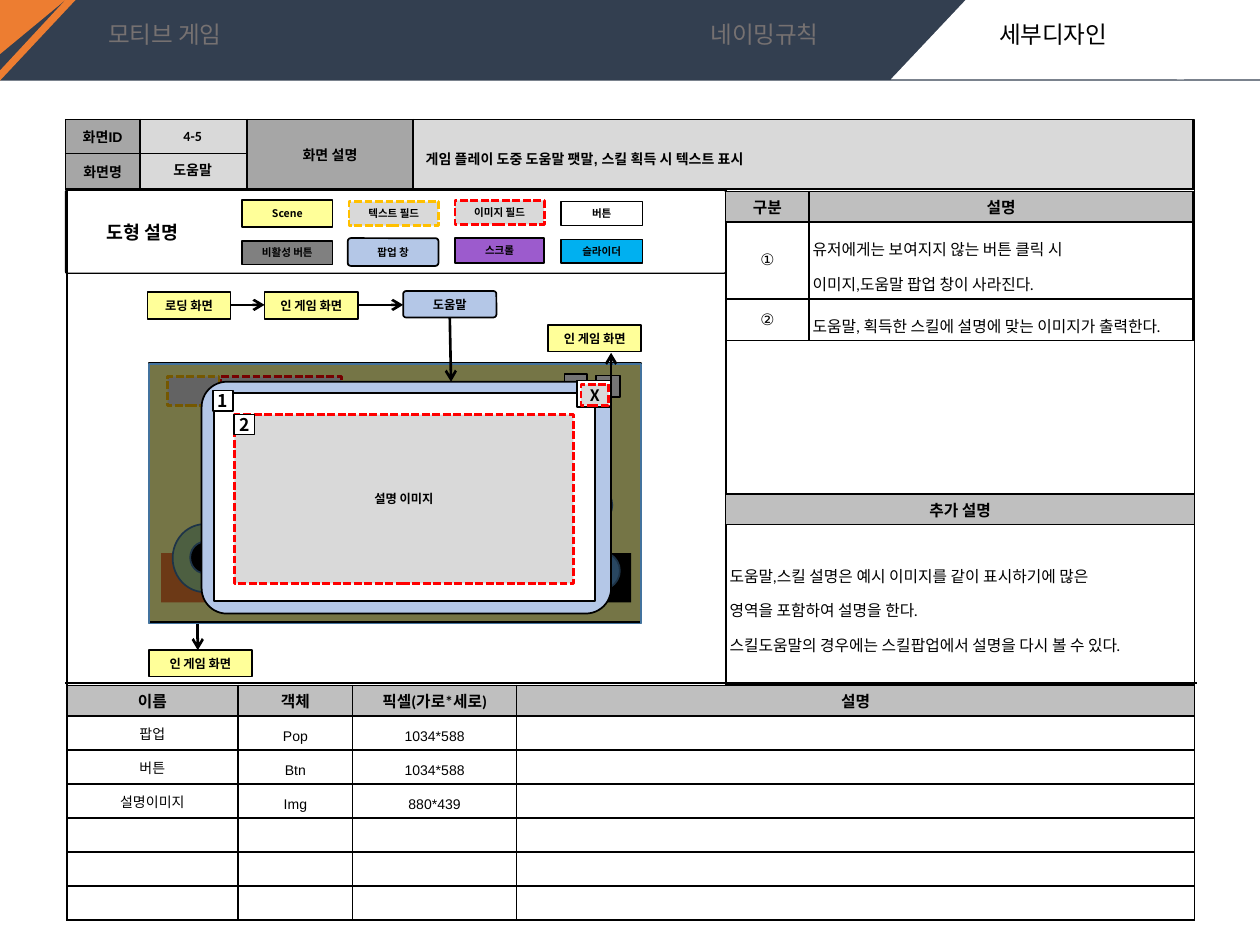
from lxml.etree import SubElement
from pptx import Presentation
from pptx.dml.color import RGBColor
from pptx.enum.dml import MSO_LINE
from pptx.enum.shapes import MSO_CONNECTOR, MSO_SHAPE
from pptx.enum.text import MSO_ANCHOR, PP_ALIGN
from pptx.oxml.ns import qn
from pptx.util import Inches, Pt

THEME = {
    "black": RGBColor(0, 0, 0), "white": RGBColor(255, 255, 255),
    "navy": RGBColor(0x33, 0x3F, 0x50), "orange": RGBColor(0xED, 0x7D, 0x31),
    "muted": RGBColor(0x76, 0x71, 0x71), "yellow": RGBColor(0xFF, 0xFF, 0x99),
    "sky": RGBColor(0xB4, 0xC7, 0xE7), "pale": RGBColor(0xD9, 0xD9, 0xD9),
    "head": RGBColor(0xBF, 0xBF, 0xBF), "label": RGBColor(0xA6, 0xA6, 0xA6),
    "grey": RGBColor(0x80, 0x80, 0x80), "amber": RGBColor(0xFF, 0xC0, 0),
    "red": RGBColor(0xFF, 0, 0), "purple": RGBColor(0x9C, 0x5B, 0xCD),
    "cyan": RGBColor(0, 0xB0, 0xF0), "green": RGBColor(0xA9, 0xD1, 0x8E),
    "blue": RGBColor(0x5B, 0x9B, 0xD5), "steel": RGBColor(0x43, 0x73, 0x9E),
    "tab": 13.5, "legend_title": 10.5, "mark": 10, "heading": 9,
    "body": 8, "flow": 7, "key": 6,
    "latin": "Arial", "text": "Calibri", "shape": "Noto Sans CJK KR",
}
RECT, ROUND, OVAL = MSO_SHAPE.RECTANGLE, MSO_SHAPE.ROUNDED_RECTANGLE, MSO_SHAPE.OVAL
# Look of a shape: preset, fill, line colour, line width
LOOKS = {
    "scene": (RECT, "yellow", "black", 1), "button": (RECT, "white", "black", 1),
    "popup": (ROUND, "sky", "black", 1), "disabled": (RECT, "grey", "black", 1),
    "scroll": (RECT, "purple", "black", 1), "slider": (RECT, "cyan", "black", 1),
    "text field": (RECT, "pale", "amber", 1.5), "image field": (RECT, "pale", "red", 1.5),
    "frame": (RECT, None, "black", 1), "legend frame": (ROUND, None, "black", 0.75),
    "bar": (RECT, "navy", None, 0), "blank": (RECT, "white", None, 0),
    "slant": (MSO_SHAPE.PARALLELOGRAM, "white", None, 0),
    "road": (RECT, "black", None, 0), "ground": (RECT, "orange", None, 0),
    "wheel": (OVAL, "green", "steel", 1), "hub": (OVAL, "black", "steel", 1),
    "ball": (OVAL, "blue", "steel", 1), "veil": (RECT, "black", "steel", 1),
    "turn": (MSO_SHAPE.CURVED_LEFT_ARROW, "black", "black", 1),
}
# Look of a cell: fill, font, size, bold, alignment, line spacing
CENTER, LEFT = PP_ALIGN.CENTER, PP_ALIGN.LEFT
CELLS = {
    "label": ("label", "latin", "body", True, CENTER, 1),
    "value": ("pale", "latin", "body", True, CENTER, 1),
    "head": ("head", "text", "heading", True, CENTER, 1),
    "number": (None, "latin", "heading", False, CENTER, 1),
    "prose": (None, "text", "heading", False, LEFT, 1.5),
    "name": ("white", "latin", "body", False, CENTER, 1),
    "code": ("white", "latin", "body", False, CENTER, 1.5),
}

deck = Presentation()
deck.slide_width, deck.slide_height = Inches(10), Inches(7.5)
page = deck.slides.add_slide(deck.slide_layouts[5])
# The page is a grid of 100 columns and 75 rows
COLUMN, ROW = deck.slide_width / 100, deck.slide_height / 75


def draw(look, left, top, width, height, text="", size="key", radius=None):
    preset, fill, line, weight = LOOKS[look]
    shape = page.shapes.add_shape(preset, int(left * COLUMN), int(top * ROW),
                                  int(width * COLUMN), int(height * ROW))
    shape.shadow.inherit = False
    if radius is not None:
        shape.adjustments[0] = radius
    if fill:
        shape.fill.solid()
        shape.fill.fore_color.rgb = THEME[fill]
    else:
        shape.fill.background()
    if line:
        shape.line.color.rgb = THEME[line]
        shape.line.width = Pt(weight)
        if look.endswith("field"):
            shape.line.dash_style = MSO_LINE.SQUARE_DOT
    else:
        shape.line.fill.background()
    if text:
        frame = shape.text_frame
        frame.margin_left = frame.margin_right = frame.margin_top = frame.margin_bottom = 0
        frame.vertical_anchor = MSO_ANCHOR.MIDDLE
        para = frame.paragraphs[0]
        para.text, para.alignment = text, CENTER
        para.font.name, para.font.size, para.font.bold = THEME["shape"], Pt(THEME[size]), True
        para.font.color.rgb = THEME["black"]
    return shape


def tabulate(left, top, columns, rows, cells):
    table = page.shapes.add_table(len(rows), len(columns), int(left * COLUMN), int(top * ROW),
                                  int(sum(columns) * COLUMN), int(sum(rows) * ROW)).table
    table.first_row = table.horz_banding = False
    for column, width in zip(table.columns, columns):
        column.width = int(width * COLUMN)
    for row, height, contents in zip(table.rows, rows, cells):
        row.height = int(height * ROW)
        for cell, (look, text) in zip(row.cells, contents):
            fill, font, size, bold, alignment, spacing = CELLS[look]
            cell.margin_left = cell.margin_right = Inches(0.03)
            cell.margin_top = cell.margin_bottom = Inches(0.03)
            cell.vertical_anchor = MSO_ANCHOR.MIDDLE
            for side in ("a:lnL", "a:lnR", "a:lnT", "a:lnB"):
                border = SubElement(cell._tc.get_or_add_tcPr(), qn(side), w=str(Pt(1)))
                SubElement(SubElement(border, qn("a:solidFill")), qn("a:srgbClr"),
                           val=str(THEME["black"]))
            if fill:
                cell.fill.solid()
                cell.fill.fore_color.rgb = THEME[fill]
            else:
                cell.fill.background()
            cell.text_frame.text = text
            para = cell.text_frame.paragraphs[0]
            para.alignment, para.line_spacing = alignment, spacing
            para.font.name, para.font.size, para.font.bold = THEME[font], Pt(THEME[size]), bold
            para.font.color.rgb = THEME["black"]
    return table


# Header band with its folded corner
draw("frame", 5.3, 9.5, 89.5, 63.2)
draw("bar", 0, 0, 100, 6.4)
draw("slant", 70.7, -0.1, 29.3, 6.4, radius=0.943)
for corner in ([(5.2, 0), (6, 0), (0, 6.4), (0, 5.6)], [(0, 0), (5.2, 0), (0, 4.3)]):
    points = [(x * COLUMN, y * ROW) for x, y in corner]
    outline = page.shapes.build_freeform(*points[0])
    outline.add_line_segments(points[1:], close=True)
    fold = outline.convert_to_shape()
    fold.shadow.inherit = False
    fold.fill.solid()
    fold.fill.fore_color.rgb = THEME["orange"]
    fold.line.fill.background()
draw("blank", 93.4, -0.1, 6.6, 6.4)

# Screen identity
identity = tabulate(5.2, 9.5, (5.9, 8.5, 13.2, 61.9), (2.7, 2.8), [
    [("label", "화면ID"), ("value", ""), ("label", "화면 설명"), ("value", "")],
    [("label", "화면명"), ("value", ""), ("label", ""), ("value", "")]])
for column in (2, 3):
    identity.cell(0, column).merge(identity.cell(1, column))

# Legend of shapes
draw("legend frame", 5.2, 15.1, 52.4, 6.6, radius=0.021)
for look, left, top, width, height, text in (
        ("scene", 19.2, 15.9, 7.2, 2.1, "Scene"),
        ("text field", 27.7, 16, 7.1, 1.9, "텍스트 필드"),
        ("image field", 36.1, 15.9, 7.1, 1.9, "이미지 필드"),
        ("button", 44.5, 16, 6.5, 1.9, "버튼"),
        ("disabled", 19.2, 19.1, 7.2, 1.9, "비활성 버튼"),
        ("popup", 27.6, 18.9, 7.2, 2.2, "팝업 창"),
        ("scroll", 36.1, 18.9, 7.1, 2, "스크롤"),
        ("slider", 44.5, 19, 6.5, 1.9, "슬라이더")):
    draw(look, left, top, width, height, text, radius=0.109 if look == "popup" else None)

# Game screen, dimmed by a veil
for look, *place in (
        ("scene", 11.8, 28.8, 39.1, 20.6), ("road", 23.4, 43.9, 26.7, 3.9),
        ("ground", 12.8, 43.9, 10.6, 3.9), ("wheel", 13.7, 41.6, 5.1, 5.4),
        ("button", 44.8, 29.7, 1.8, 1.7), ("button", 47.3, 29.8, 1.9, 1.7),
        ("hub", 15.1, 43, 2.3, 2.5), ("image field", 17.5, 29.9, 9.6, 1),
        ("text field", 13.3, 29.9, 4.1, 2.3), ("ball", 45.6, 38.6, 3, 3),
        ("ball", 46.2, 43.8, 3, 3), ("turn", 47.8, 44.6, 0.7, 1.5)):
    draw(look, *place)
veil = draw("veil", 11.8, 28.9, 39.1, 20.6)
SubElement(veil.fill._xPr.find(qn("a:solidFill"))[0], qn("a:alpha"), val="54000")

# Dividers and flow arrows
for x1, y1, x2, y2, arrow in (
        (57.6, 15.1, 57.6, 54.2, False), (5.2, 54.2, 95, 54.2, False),
        (18.3, 24.2, 21, 24.2, True), (28.4, 24.2, 32, 24.2, True),
        (35.7, 25.2, 35.8, 30.3, True), (48.5, 31.3, 48.5, 28, True),
        (15.7, 49.5, 15.7, 51.6, True)):
    line = page.shapes.add_connector(MSO_CONNECTOR.STRAIGHT, int(x1 * COLUMN), int(y1 * ROW),
                                     int(x2 * COLUMN), int(y2 * ROW))
    line.line.color.rgb = THEME["black"]
    line.line.width = Pt(1.5 if arrow else 1)
    if arrow:
        SubElement(line.line._get_or_add_ln(), qn("a:tailEnd"), type="arrow")
    SubElement(line._element.spPr, qn("a:effectLst"))

# Flow steps
draw("scene", 11.7, 23.2, 6.6, 2.1, "로딩 화면", "flow")
draw("popup", 32, 23.1, 7.4, 2.1, "도움말", "flow", 0.109)
for left, top, width in ((21, 23.2, 7.4), (43.5, 25.8, 7.4), (11.8, 51.6, 8.2)):
    draw("scene", left, top, width, 2.1, "인 게임 화면", "flow")

# Help popup
draw("popup", 16, 30.3, 32.5, 18.4, radius=0.109)
draw("button", 17, 31.2, 30.2, 16.5)
draw("image field", 18.6, 32.9, 26.9, 13.4, "설명 이미지", "flow")
draw("button", 45.8, 30.2, 2.7, 2.1)
draw("image field", 46.1, 30.5, 2.2, 1.7, "X", "heading")
draw("button", 18.6, 32.9, 1.6, 1.6, "2", "mark")
draw("button", 16.9, 31, 1.6, 1.6, "1", "mark")

# Description tables
tabulate(57.6, 15.2, (6.6, 30.5), (2.4, 6.1, 3.3), [
    [("head", "구분"), ("head", "설명")],
    [("number", "①"), ("prose", "유저에게는 보여지지 않는 버튼 클릭 시\v이미지,도움말 팝업 창이 사라진다.")],
    [("number", "②"), ("prose", "도움말, 획득한 스킬에 설명에 맞는 이미지가 출력한다.")]])
tabulate(57.6, 39.2, (37.2,), (2.4, 12.7), [
    [("head", "추가 설명")],
    [("prose", "도움말,스킬 설명은 예시 이미지를 같이 표시하기에 많은\v영역을 포함하여 설명을 한다.\v"
               "스킬도움말의 경우에는 스킬팝업에서 설명을 다시 볼 수 있다.")]])
objects = [("팝업", "Pop", "1034*588"), ("버튼", "Btn", "1034*588"),
           ("설명이미지", "Img", "880*439")] + [("", "", "")] * 3
tabulate(5.3, 54.4, (13.6, 9.1, 13, 53.8), [2.4] + [2.7] * 6,
         [[("head", text) for text in ("이름", "객체", "픽셀(가로*세로)", "설명")]]
         + [[("name", name), ("code", kind), ("code", pixels), ("name", "")]
            for name, kind, pixels in objects])

# Tabs and captions; the active tab is the slide title
title = page.shapes.title
page.shapes._spTree.append(title._element)
TOP, MIDDLE = MSO_ANCHOR.TOP, MSO_ANCHOR.MIDDLE
for text, left, top, width, height, font, size, color, bold, alignment, anchor, spacing in (
        ("모티브 게임", 7.6, 1.1, 15.7, 3.3, "text", "tab", "muted", False, LEFT, TOP, 1),
        ("네이밍규칙", 55.4, 1.1, 15.3, 3.3, "text", "tab", "muted", False, LEFT, TOP, 1),
        ("세부디자인", 78.3, 1.1, 15.1, 3.3, "text", "tab", "black", False, LEFT, TOP, 1),
        ("도형 설명", 7.5, 17.1, 9.4, 2.8, "text", "legend_title", "black", True, LEFT, TOP, 1),
        ("4-5", 11, 9.5, 8.6, 2.7, "text", "body", "black", True, CENTER, MIDDLE, 0.9),
        ("도움말", 11, 12.2, 8.6, 2.8, "latin", "body", "black", True, CENTER, MIDDLE, 0.9),
        ("게임 플레이 도중 도움말 팻말, 스킬 획득 시 텍스트 표시",
         32.8, 9.6, 61.9, 5.4, "latin", "body", "black", True, LEFT, MIDDLE, 1.5)):
    box = title if text == "세부디자인" else page.shapes.add_textbox(0, 0, 0, 0)
    box.left, box.top = int(left * COLUMN), int(top * ROW)
    box.width, box.height = int(width * COLUMN), int(height * ROW)
    box.text_frame.word_wrap, box.text_frame.vertical_anchor = True, anchor
    para = box.text_frame.paragraphs[0]
    para.text, para.alignment, para.line_spacing = text, alignment, spacing
    para.font.name, para.font.size, para.font.bold = THEME[font], Pt(THEME[size]), bold
    para.font.color.rgb = THEME[color]

deck.save("out.pptx")
